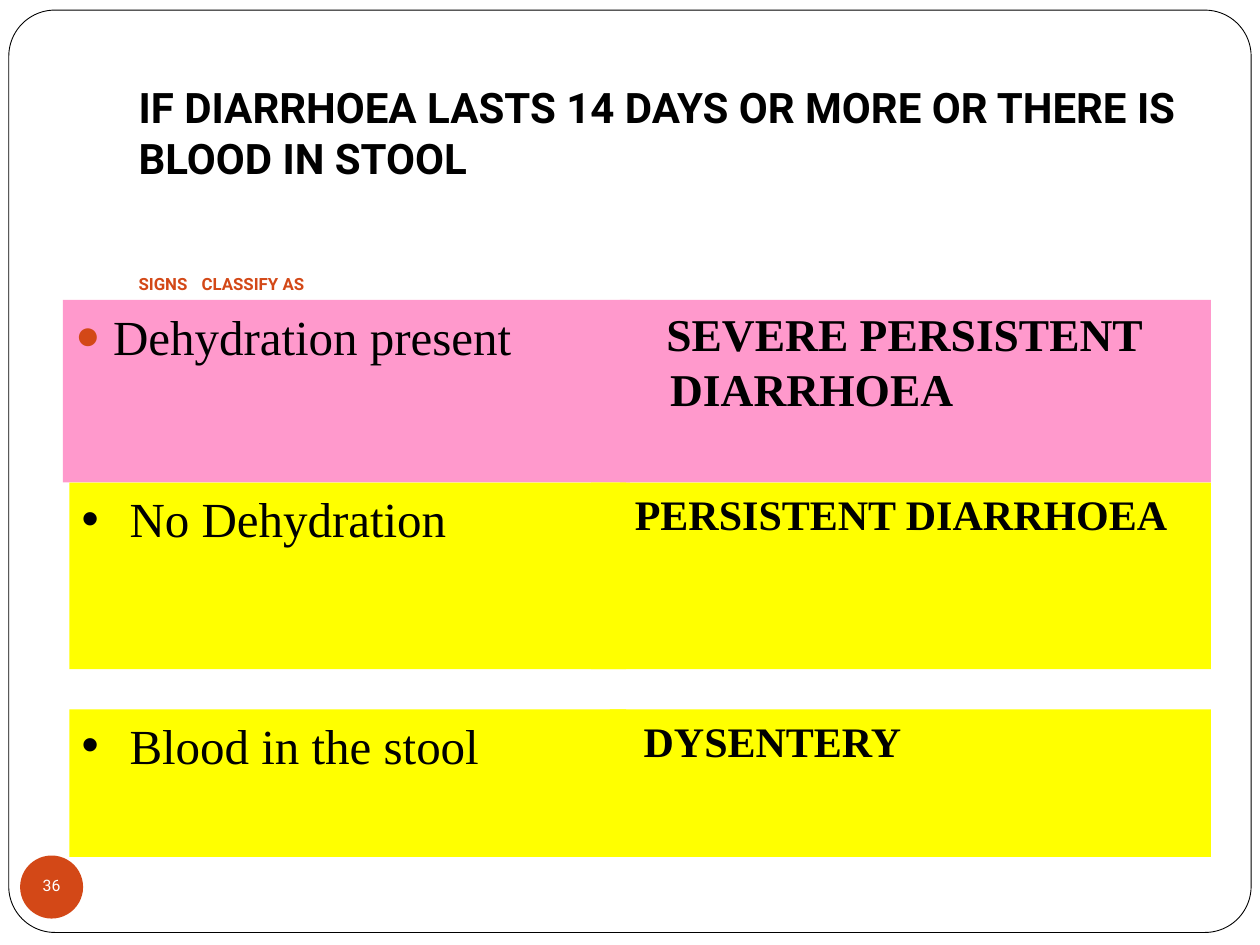
"""Build the slide that classifies persistent diarrhoea and dysentery by their signs."""
from dataclasses import dataclass
from typing import Optional

from lxml.etree import SubElement
from pptx import Presentation
from pptx.dml.color import RGBColor
from pptx.enum.shapes import MSO_SHAPE
from pptx.enum.text import MSO_ANCHOR, MSO_AUTO_SIZE, PP_ALIGN
from pptx.oxml.ns import qn
from pptx.util import Inches, Pt


@dataclass(frozen=True)
class Theme:
    """Colours, fonts and type sizes of the slide."""
    ink: str = "000000"
    paper: str = "FFFFFF"
    accent: str = "D34817"
    severe: str = "FF99CC"
    moderate: str = "FFFF00"
    sans: str = "Roboto"
    serif: str = "Times New Roman"
    title: float = 24
    heading: float = 9.6
    number: float = 9
    sign: float = 28


@dataclass(frozen=True)
class Area:
    """A rectangle in percent of the slide's width and height."""
    left: float
    top: float
    width: float
    height: float

    def bounds(self):
        """Return left, top, width and height as slide lengths."""
        across, down = Inches(10) / 100, Inches(7.5) / 100
        return (round(self.left * across), round(self.top * down),
                round(self.width * across), round(self.height * down))


@dataclass(frozen=True)
class Bullet:
    """A list mark with its colour, relative size and hanging indent in inches."""
    mark: str
    colour: str
    percent: int
    hang: float


@dataclass(frozen=True)
class Cell:
    """One side of a row: horizontal extent, wording, size and indents."""
    left: float
    right: float
    wording: str
    size: float
    bold: bool = False
    margin: float = 0
    first: float = 0
    bullet: Optional[Bullet] = None


@dataclass(frozen=True)
class Row:
    """A sign and its classification on one colour band."""
    top: float
    height: float
    colour: str
    sign: Cell
    classification: Cell


THEME = Theme()
RIGHT_EDGE = 96.1
SEVERE_BULLET = Bullet("●", THEME.accent, 85, 0.3)
PLAIN_BULLET = Bullet("•", THEME.ink, 100, 0.38)


def sign_cell(left: float, right: float, wording: str, bullet: Bullet) -> Cell:
    """Describe a bulleted sign."""
    return Cell(left, right, wording, THEME.sign, False, bullet.hang, -bullet.hang, bullet)


ROWS = [
    Row(31.73, 19.33, THEME.severe,
        sign_cell(5, 50, "Dehydration present", SEVERE_BULLET),
        Cell(49.2, RIGHT_EDGE, "SEVERE PERSISTENT DIARRHOEA", 26, True, 0.3, -0.03)),
    Row(51.07, 19.73, THEME.moderate,
        sign_cell(5.5, 49.7, "No Dehydration", PLAIN_BULLET),
        Cell(46.9, RIGHT_EDGE, "PERSISTENT DIARRHOEA", 24, True, 0.38, -0.13)),
    Row(75.07, 15.6, THEME.moderate,
        sign_cell(5.5, 49.7, "Blood in the stool", PLAIN_BULLET),
        Cell(48.4, RIGHT_EDGE, "DYSENTERY", 24, True, 0.38, -0.21)),
]


def write(paragraph, wording: str, face: str, size: float, colour: str, bold: bool = False) -> None:
    """Add one formatted run to a paragraph."""
    run = paragraph.add_run()
    run.text = wording
    run.font.name, run.font.size, run.font.bold = face, Pt(size), bold
    run.font.color.rgb = RGBColor.from_string(colour)


def indent(paragraph, margin: float, first: float) -> None:
    """Set the left margin and first-line indent in inches."""
    properties = paragraph._p.get_or_add_pPr()
    properties.set("marL", str(Inches(margin)))
    properties.set("indent", str(Inches(first)))


def add_bullet(paragraph, bullet: Bullet) -> None:
    """Give a paragraph a coloured list mark."""
    properties = paragraph._p.get_or_add_pPr()
    tint = SubElement(properties, qn("a:buClr"))
    SubElement(tint, qn("a:srgbClr"), val=bullet.colour)
    SubElement(properties, qn("a:buSzPct"), val=str(bullet.percent * 1000))
    SubElement(properties, qn("a:buFont"), typeface="Arial")
    SubElement(properties, qn("a:buChar"), char=bullet.mark)


def add_panel(slide, preset, area: Area, fill: str):
    """Add a flat filled shape without an outline."""
    panel = slide.shapes.add_shape(preset, *area.bounds())
    panel.shadow.inherit = False
    panel.fill.solid()
    panel.fill.fore_color.rgb = RGBColor.from_string(fill)
    panel.line.fill.background()
    panel.text_frame.word_wrap = True
    return panel


def add_frame(slide) -> None:
    """Put the rounded frame behind everything else."""
    frame = add_panel(slide, MSO_SHAPE.ROUNDED_RECTANGLE, Area(0.7, 1.07, 98.6, 97.6), THEME.paper)
    frame.adjustments[0] = 0.05
    frame.line.color.rgb = RGBColor.from_string(THEME.ink)
    frame.line.width = Pt(0.5)
    slide.shapes[0]._element.addprevious(frame._element)


def place(placeholder, area: Area):
    """Move a placeholder and return its first paragraph, set left."""
    placeholder.left, placeholder.top, placeholder.width, placeholder.height = area.bounds()
    text = placeholder.text_frame
    text.auto_size = MSO_AUTO_SIZE.NONE
    text.vertical_anchor = MSO_ANCHOR.BOTTOM
    paragraph = text.paragraphs[0]
    paragraph.alignment = PP_ALIGN.LEFT
    paragraph.space_before = Pt(0)
    return paragraph


def add_title(slide) -> None:
    """Fill the title placeholder."""
    paragraph = place(slide.shapes.title, Area(10, 4, 85, 16.67))
    slide.shapes.title.text_frame.margin_bottom = Inches(0.1)
    write(paragraph, "IF DIARRHOEA LASTS 14 DAYS OR MORE OR THERE IS BLOOD IN STOOL",
          THEME.sans, THEME.title, THEME.ink, True)


def add_headings(slide) -> None:
    """Fill the body placeholder with the two column headings on tab stops."""
    paragraph = place(slide.placeholders[1], Area(5, 22.4, 90.3, 9.33))
    paragraph.line_spacing = 0.8
    indent(paragraph, 0, 0)
    properties = paragraph._p.get_or_add_pPr()
    SubElement(properties, qn("a:buNone"))
    stops = SubElement(properties, qn("a:tabLst"))
    for stop in (1, 5):
        SubElement(stops, qn("a:tab"), pos=str(Inches(stop)), algn="l")
    for heading in ("\tSIGNS", "\tCLASSIFY AS"):
        write(paragraph, heading, THEME.sans, THEME.heading, THEME.accent, True)


def add_cell(slide, row: Row, cell: Cell) -> None:
    """Draw one side of a row."""
    area = Area(cell.left, row.top, cell.right - cell.left, row.height)
    panel = add_panel(slide, MSO_SHAPE.RECTANGLE, area, row.colour)
    panel.text_frame.vertical_anchor = MSO_ANCHOR.TOP
    paragraph = panel.text_frame.paragraphs[0]
    paragraph.alignment = PP_ALIGN.LEFT
    indent(paragraph, cell.margin, cell.first)
    if cell.bullet:
        add_bullet(paragraph, cell.bullet)
    write(paragraph, cell.wording, THEME.serif, cell.size, THEME.ink, cell.bold)


def add_number(slide) -> None:
    """Draw the slide number badge."""
    badge = add_panel(slide, MSO_SHAPE.OVAL, Area(1.6, 90.53, 5, 6.67), THEME.accent)
    paragraph = badge.text_frame.paragraphs[0]
    paragraph.alignment = PP_ALIGN.CENTER
    paragraph.line_spacing = 0.8
    write(paragraph, "36", THEME.sans, THEME.number, THEME.paper)


def main() -> None:
    """Build and save the slide."""
    deck = Presentation()
    deck.slide_width, deck.slide_height = Inches(10), Inches(7.5)
    slide = deck.slides.add_slide(deck.slide_layouts[1])
    add_frame(slide)
    add_title(slide)
    add_headings(slide)
    add_number(slide)
    for row in ROWS:
        add_cell(slide, row, row.sign)
        add_cell(slide, row, row.classification)
    deck.save("out.pptx")


if __name__ == "__main__":
    main()
